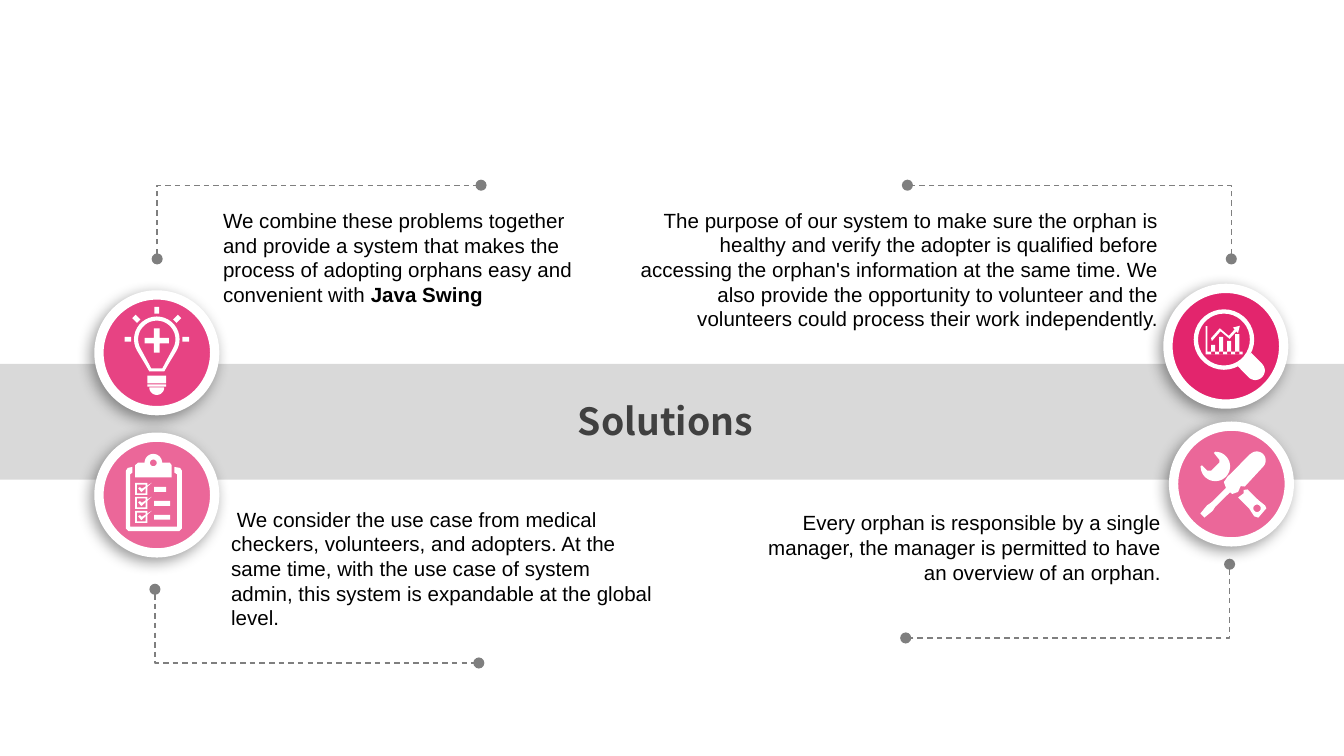
"""Build a slide of four solutions around a central title band."""
from math import cos, radians, sin

from lxml.etree import SubElement
from pptx import Presentation
from pptx.dml.color import RGBColor
from pptx.enum.dml import MSO_LINE
from pptx.enum.shapes import MSO_SHAPE as SHAPE
from pptx.enum.text import MSO_AUTO_SIZE as AUTO_SIZE, PP_ALIGN as ALIGN
from pptx.oxml.ns import qn
from pptx.util import Pt

COLORS = {"band": "D9D9D9", "title": "404040", "text": "000000", "guide": "7F7F7F",
          "white": "FFFFFF", "pink": "E74383", "light": "EB6799", "deep": "E3256D"}
DISC = 62
GUIDE_WIDTH, GUIDE_HEIGHT = 173.5, 39.5


def color(name):
    return RGBColor.from_string(COLORS[name])


def arc(x, y, radius, start=0, end=360):
    steps = max(6, abs(end - start) // 10)
    angles = [radians(start + (end - start) * i / steps) for i in range(steps + 1)]
    return [(x + radius * cos(a), y + radius * sin(a)) for a in angles]


def box(left, top, width, height):
    right, bottom = left + width, top + height
    return [(left, top), (right, top), (right, bottom), (left, bottom)]


def ray(x, y, angle, inner, outer, half=1.3):
    c, s = cos(radians(angle)), sin(radians(angle))
    corners = [(inner, -half), (outer, -half), (outer, half), (inner, half)]
    return [(x + u * c - v * s, y + u * s + v * c) for u, v in corners]


def bulb_icon():
    glass = arc(0, -7.2, 12.2, 150, 390) + [(6, 6.5), (4, 10), (-4, 10), (-6, 6.5)]
    inside = arc(0, -7.2, 10, 150, 390) + [(4.5, 5.5), (3, 8.4), (-3, 8.4), (-4.5, 5.5)]
    plus = [box(-6.5, -8, 13, 3), box(-1.5, -13, 3, 5), box(-1.5, -5, 3, 5)]
    base = [box(-5, 12.2, 10, 4.2), box(-5, 17, 10, 1.2), arc(0, 18.6, 4, 0, 180)]
    rays = [ray(0, -7.2, angle, 13.7, 17.3) for angle in range(180, 361, 45)]
    return [[glass, inside, *plus, *base, *rays]]


def clipboard_icon():
    frame = [(-13, -15), (-15.5, -14.5), (-16.5, -13), (-16.5, 18), (-15, 19.4),
             (12, 19.4), (13.5, 18), (13.5, -13), (12.5, -14.5), (9.5, -15),
             (9.5, -12), (11, -11), (11, 17), (-14.3, 17), (-14.3, -11), (-13, -12)]
    clip = [(-11.5, -9.4), (-11.5, -16), (-10, -17.3), *arc(-1.8, -17.3, 4.7, 180, 360),
            (7, -17.3), (8, -16), (8, -9.4)]
    boxes, ticks = [], []
    for row, dash in enumerate((6.5, 8.6, 8.6)):
        top = -6.5 + 7.5 * row
        boxes += [box(-11.5, top, 6.5, 6.5), box(-10.6, top + 0.9, 4.7, 4.7),
                  box(-1.4, top + 2.2, dash, 2.6)]
        ticks.append([(-10, top + 2.9), (-9, top + 2.3), (-8, top + 3.2), (-2.7, top),
                      (-8.3, top + 5)])
    return [[frame, clip, arc(-1.8, -17.2, 1.8), *boxes], ticks]


def magnifier_icon():
    handle = [(6.5, 10.8), (12.2, 16.6), *arc(15.8, 13, 5.1, 135, -45), (13.7, 3.6)]
    axis = [(-10.8, -10.8), (-9.9, -10.8), (-9.9, 2.9), (9, 2.9), (9, 4.3), (-10.8, 4.3)]
    bars = [box(-7.9 + 4.3 * i, top, 2.2, 4.3 - top)
            for i, top in enumerate((-0.7, -5, -2.9, -6.5))]
    trend = [(-7.9, -4.3), (-3.2, -9.6), (1.6, -5.5), (5.5, -9.8)]
    ribbon = trend + [(x + 0.4, y + 1.6) for x, y in reversed(trend)]
    arrow = [(3.8, -10), (7.5, -11), (6.5, -7)]
    return [[arc(-1, -3.6, 16.2), arc(-1, -3.6, 13.9)], [handle], [axis, *bars],
            [ribbon], [arrow]]


def tools_icon():
    screwdriver = [(0, -5.8), (10, -16), *arc(13.6, -12.6, 4.8, 225, 405), (7.2, 1.4),
                   (5, 1.2), (3.6, 4.3), (0.5, 5.4), (-0.7, 4.5), (-8.6, 12.2),
                   (-10, 14.4), (-14.4, 18), (-16.6, 15.8), (-13, 11.5), (-10.8, 10),
                   (-2.9, 2.2), (-4, -1), (-2, -4)]
    wrench = [(-9.4, -16.6), (-6.5, -13), (-6.5, -11.5), (-10.8, -7.2), (-13, -7.2),
              (-15.8, -10), (-16.6, -9.4), *arc(-8.6, -9.4, 7.9, 180, -90)]
    grip = [(6.5, 3.2), (6.5, 5), (3.6, 7.2), (9.4, 13), (12.2, 17.3), (14.4, 18),
            (18.7, 13), (18, 11.5), (14.4, 8.6), (8.6, 2.9)]
    return [[screwdriver], [wrench], [grip, arc(13.7, 13, 2)]]


def add_outline(shapes, contours, x=0, y=0, close=True):
    placed = [[(Pt(x + u), Pt(y + v)) for u, v in contour] for contour in contours]
    builder = shapes.build_freeform(*placed[0][0], scale=1.0)
    for index, points in enumerate(placed):
        if index:
            builder.move_to(*points[0])
        builder.add_line_segments(points[1:], close=close)
    shape = builder.convert_to_shape()
    shape.shadow.inherit = False
    return shape


def add_guide(slide, x, y, across, down):
    points = [(0, down * GUIDE_HEIGHT), (0, 0), (across * GUIDE_WIDTH, 0)]
    shape = add_outline(slide.shapes, [points], x, y, close=False)
    shape.fill.background()
    shape.line.color.rgb = color("guide")
    shape.line.width = Pt(0)
    shape.line.dash_style = MSO_LINE.DASH
    for end in ("a:headEnd", "a:tailEnd"):
        SubElement(shape.line._get_or_add_ln(), qn(end), type="oval")


def add_band(slide):
    band = slide.shapes.add_shape(SHAPE.RECTANGLE, Pt(0), Pt(195), Pt(720), Pt(62))
    band.shadow.inherit = False
    band.fill.solid()
    band.fill.fore_color.rgb = color("band")
    band.line.fill.background()


def add_badge(slide, x, y, fill, icon):
    shapes = slide.shapes.add_group_shape().shapes
    disc = shapes.add_shape(SHAPE.OVAL, Pt(x - DISC / 2), Pt(y - DISC / 2),
                            Pt(DISC), Pt(DISC))
    disc.fill.solid()
    disc.fill.fore_color.rgb = color(fill)
    disc.line.color.rgb = color("white")
    disc.line.width = Pt(5)
    disc.shadow.inherit = False
    effects = disc._element.spPr.find(qn("a:effectLst"))
    shadow = SubElement(effects, qn("a:outerShdw"), blurRad=str(Pt(8)), dist=str(Pt(3)),
                        dir="8100000", algn="tr", rotWithShape="0")
    tint = SubElement(shadow, qn("a:srgbClr"), val=COLORS["text"])
    SubElement(tint, qn("a:alpha"), val="40000")
    for contours in icon:
        shape = add_outline(shapes, contours, x, y)
        shape.fill.solid()
        shape.fill.fore_color.rgb = color("white")
        shape.line.fill.background()


def add_text(slide, frame, text, strong="", align=ALIGN.LEFT, font="Arial", size=11,
             ink="text", bold=None, wrap=True):
    text_frame = slide.shapes.add_textbox(*map(Pt, frame)).text_frame
    text_frame.word_wrap = wrap
    text_frame.auto_size = AUTO_SIZE.SHAPE_TO_FIT_TEXT
    text_frame.margin_left = text_frame.margin_right = Pt(5)
    text_frame.margin_top = text_frame.margin_bottom = Pt(2.5)
    paragraph = text_frame.paragraphs[0]
    paragraph.alignment = align
    paragraph.font.name, paragraph.font.size = font, Pt(size)
    paragraph.font.color.rgb, paragraph.font.bold = color(ink), bold
    paragraph.add_run().text = text
    if strong:
        run = paragraph.add_run()
        run.text, run.font.bold = strong, True


def main():
    presentation = Presentation()
    presentation.slide_width, presentation.slide_height = Pt(720), Pt(405)
    slide = presentation.slides.add_slide(presentation.slide_layouts[6])
    for guide in ((84.2, 99.2, 1, 1), (659.6, 99.2, -1, 1),
                  (83, 355.2, 1, -1), (658.7, 341.8, -1, -1)):
        add_guide(slide, *guide)
    add_band(slide)
    add_text(slide, (304.6, 211, 105, 29.5), "Solutions", font="Noto Sans CJK SC",
             size=20, ink="title", bold=True, wrap=False)
    add_badge(slide, 84, 189, "pink", bulb_icon())
    add_badge(slide, 84, 265.2, "light", clipboard_icon())
    add_badge(slide, 656.7, 185.5, "deep", magnifier_icon())
    add_badge(slide, 659.7, 259.3, "light", tools_icon())
    add_text(slide, (114.5, 109, 207.4, 58.3), "We combine these problems together and "
             "provide a system that makes the process of adopting orphans easy and "
             "convenient with ", "Java Swing")
    add_text(slide, (336.2, 108.7, 289.4, 71.3), "The purpose of our system to make sure "
             "the orphan is healthy and verify the adopter is qualified before accessing "
             "the orphan's information at the same time. We also provide the opportunity "
             "to volunteer and the volunteers could process their work independently.",
             align=ALIGN.RIGHT)
    add_text(slide, (118.8, 268.9, 238.3, 71.3), " We consider the use case from medical "
             "checkers, volunteers, and adopters. At the same time, with the use case of "
             "system admin, this system is expandable at the global level.")
    add_text(slide, (401, 271, 226, 44.6), "Every orphan is responsible by a single "
             "manager, the manager is permitted to have an overview of an orphan.",
             align=ALIGN.RIGHT)
    presentation.save("out.pptx")


if __name__ == "__main__":
    main()
